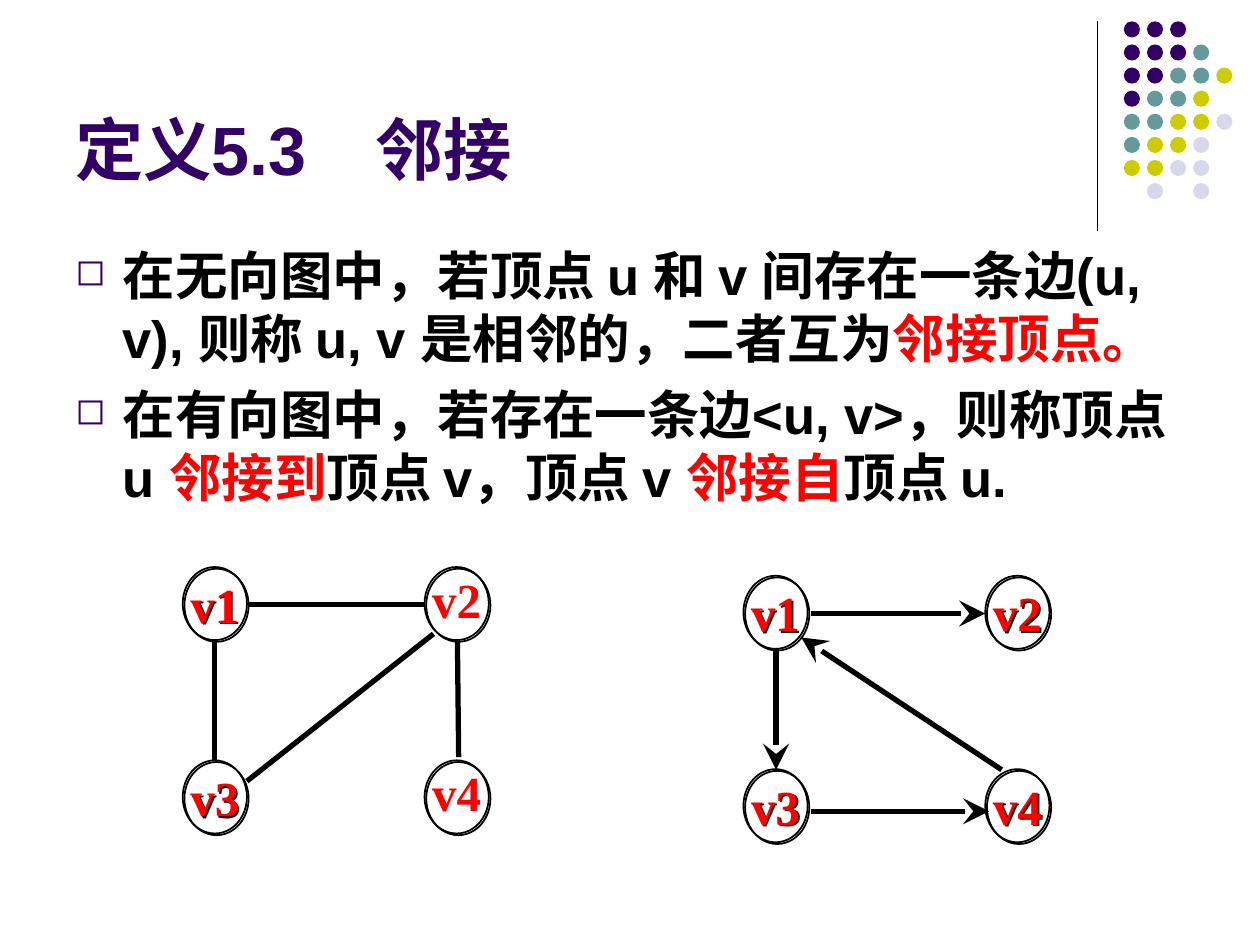
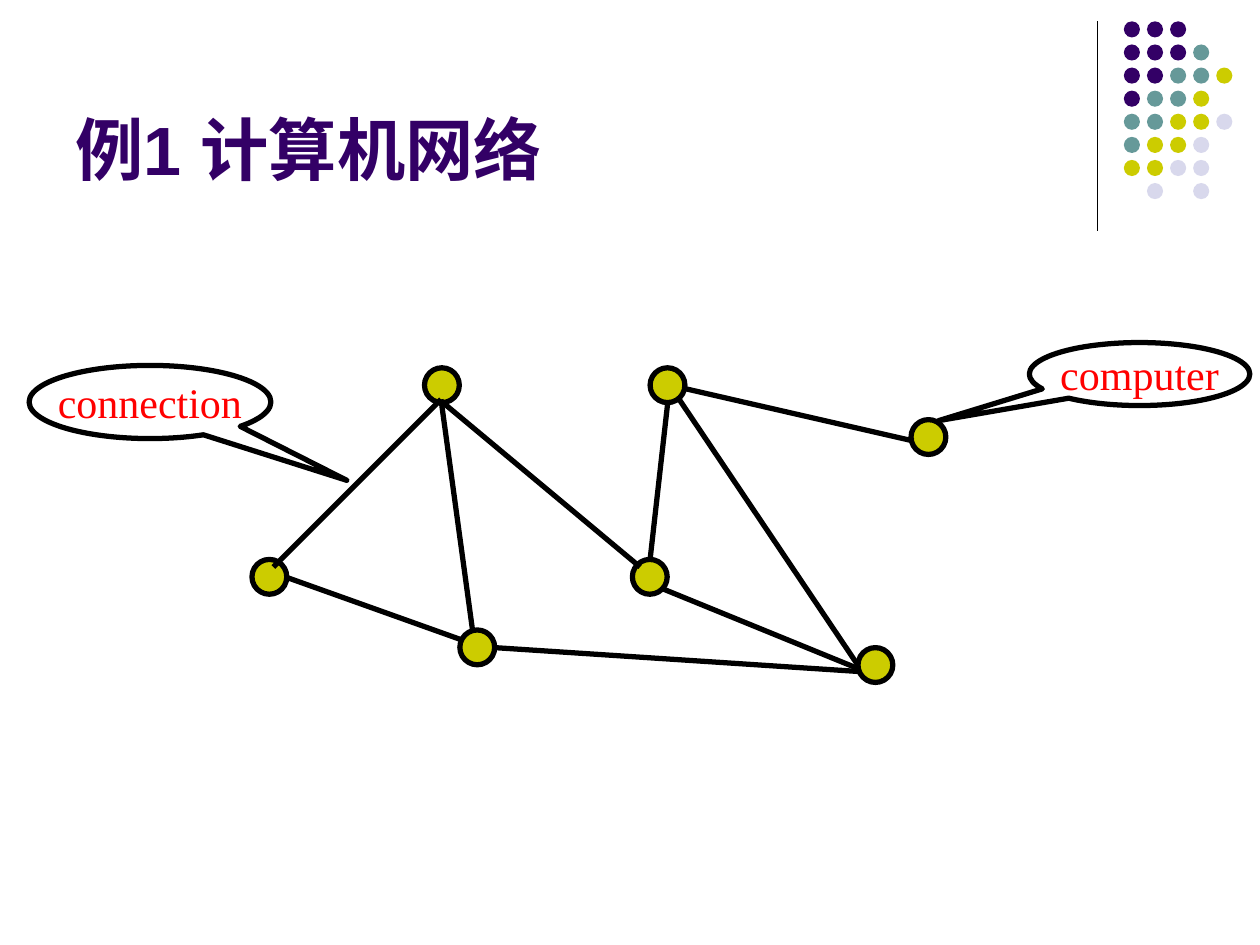
"""Builds two graph theory slides: adjacency and a computer network."""
from lxml.etree import SubElement
from pptx import Presentation
from pptx.dml.color import RGBColor
from pptx.enum.shapes import MSO_CONNECTOR as CONN, MSO_SHAPE as SHAPE
from pptx.enum.text import MSO_ANCHOR as ANCHOR, PP_ALIGN as ALIGN
from pptx.oxml.ns import qn
from pptx.util import Pt

COLORS = {"purple": "330066", "teal": "669999", "lime": "CCCC00",
          "lilac": "D8D8EC", "black": "000000", "red": "FF0000"}
SANS, SERIF = "Arial", "Times New Roman"

DOT_ROWS = ["PPP..", "PPPT.", "PPTTY", "PTTY.", "TTYYL", "TYYL.", "YYLL.", ".L.L."]
DOT_COLORS = {"P": "purple", "T": "teal", "Y": "lime", "L": "lilac"}
DOT_ORIGIN, DOT_PITCH, DOT_SIZE = (642.2, 12.2), 13.2, 9.2

TITLES = ["定义5.3　邻接", "例1 计算机网络"]
DEFINITIONS = [
    [("在无向图中，若顶点 u 和 v 间存在一条边(u, v), 则称 u, v 是相邻的，二者互为", "black"),
     ("邻接顶点。", "red")],
    [("在有向图中，若存在一条边<u, v>，则称顶点 u ", "black"), ("邻接到", "red"),
     ("顶点 v，顶点 v ", "black"), ("邻接自", "red"), ("顶点 u.", "black")],
]

VERTICES = ["v1", "v2", "v3", "v4"]
VERTEX_SIZE, VERTEX_PITCH = (36.7, 41.8), (138.2, 110.5)
GRAPHS = [
    {"origin": (424.8, 329), "directed": True, "flat_labels": [],
     "edges": [(38.9, 21.6, 138.2, 21.6), (18.7, 41.8, 18.7, 110.9),
               (38.9, 134.6, 140.4, 134.6), (147.6, 110.9, 33.1, 35.3)]},
    {"origin": (104.4, 324), "directed": False, "flat_labels": ["v2", "v4"],
     "edges": [(37.4, 21.6, 138.2, 21.6), (18, 42.5, 18, 110.2),
               (143.3, 38.2, 36.7, 122.4), (157, 42.5, 157.7, 108.7)]},
]

COMPUTER_SIZE = 19.9
COMPUTERS_BELOW = [(361.4, 319.7), (520.6, 239.8), (242.6, 210.2), (262.8, 360), (144, 319.7)]
COMPUTERS_ABOVE = [(490.3, 370.1), (371.5, 210.2)]
LINKS = [(252, 228.2, 156.2, 324), (252.7, 229.7, 365.8, 324), (163.4, 329.8, 264.2, 365.8),
         (381.6, 229.7, 371.5, 319.7), (283, 370.1, 491.8, 383.8), (522, 252, 390.2, 221.8),
         (378, 336.2, 494.6, 383.8), (252, 228.2, 270, 360), (383.8, 221.8, 490.3, 380.2)]
CALLOUTS = [("computer", (588.2, 195.8, 126, 36), (-0.912, 0.74)),
            ("connection", (16.6, 208.8, 138.2, 41.8), (0.814, 1.071))]


def rgb(name):
    return RGBColor.from_string(COLORS[name])


def style_run(r, size, font, color, bold=True):
    r.font.size, r.font.name, r.font.bold = Pt(size), font, bold
    r.font.color.rgb = rgb(color)


def add_line(slide, ends, width=3, arrow=False):
    line = slide.shapes.add_connector(CONN.STRAIGHT, *map(Pt, ends))
    line.line.width = Pt(width)
    line.line.color.rgb = rgb("black")
    if arrow:
        SubElement(line.line._get_or_add_ln(), qn("a:tailEnd"), type="stealth", w="lg", len="lg")
    SubElement(line._element.spPr, qn("a:effectLst"))


def add_outline(slide, kind, box, fill=None, width=0.0):
    sp = slide.shapes.add_shape(kind, *map(Pt, box))
    sp.shadow.inherit = False
    if fill:
        sp.fill.solid()
        sp.fill.fore_color.rgb = rgb(fill)
    else:
        sp.fill.background()
    if width:
        sp.line.width = Pt(width)
        sp.line.color.rgb = rgb("black")
    else:
        sp.line.fill.background()
    return sp


def add_text(slide, box, anchor=ANCHOR.TOP):
    tf = slide.shapes.add_textbox(*map(Pt, box)).text_frame
    tf.word_wrap, tf.vertical_anchor = True, anchor
    return tf


def label(tf, text, size, bold):
    tf.text = text
    tf.word_wrap = False
    p = tf.paragraphs[0]
    p.alignment = ALIGN.CENTER
    style_run(p.runs[0], size, SERIF, "red", bold)


def add_base(prs, title):
    slide = prs.slides.add_slide(prs.slide_layouts[6])
    add_line(slide, (627.1, 12.2, 627.1, 131.8), 0.75)
    x, y = DOT_ORIGIN
    for row, marks in enumerate(DOT_ROWS):
        for col, mark in enumerate(marks):
            if mark in DOT_COLORS:
                box = (x + col * DOT_PITCH, y + row * DOT_PITCH, DOT_SIZE, DOT_SIZE)
                add_outline(slide, SHAPE.OVAL, box, DOT_COLORS[mark])
    tf = add_text(slide, (36, 9.4, 594, 102.2), ANCHOR.BOTTOM)
    tf.text = title
    style_run(tf.paragraphs[0].runs[0], 39, SANS, "purple")
    return slide


def add_definitions(slide):
    tf = add_text(slide, (36, 135.4, 648, 347))
    for i, parts in enumerate(DEFINITIONS):
        p = tf.add_paragraph() if i else tf.paragraphs[0]
        p.space_before = Pt(7.5)
        pPr = p._p.get_or_add_pPr()
        pPr.set("marL", str(Pt(27)))
        pPr.set("indent", str(-Pt(27)))
        SubElement(SubElement(pPr, qn("a:buClr")), qn("a:srgbClr"), val=COLORS["purple"])
        SubElement(pPr, qn("a:buSzPct"), val="70000")
        SubElement(pPr, qn("a:buChar"), char="◻")
        for text, color in parts:
            r = p.add_run()
            r.text = text
            style_run(r, 30, SANS, color)


def add_vertex_shadow(sp):
    effects = sp._element.spPr.find(qn("a:effectLst"))
    shadow = SubElement(effects, qn("a:outerShdw"), dist=str(Pt(1.4)), dir="2700000",
                        algn="ctr", rotWithShape="0")
    SubElement(shadow, qn("a:srgbClr"), val=COLORS["black"])


def add_graph(slide, graph):
    x0, y0 = graph["origin"]
    for i, name in enumerate(VERTICES):
        row, col = divmod(i, 2)
        x, y = x0 + col * VERTEX_PITCH[0], y0 + row * VERTEX_PITCH[1]
        sp = add_outline(slide, SHAPE.OVAL, (x, y, *VERTEX_SIZE), width=1)
        add_vertex_shadow(sp)
        tf = sp.text_frame
        if name in graph["flat_labels"]:
            tf = add_text(slide, (x, y + 1.4, VERTEX_SIZE[0], 33.8))
            tf.margin_left = tf.margin_right = tf.margin_top = tf.margin_bottom = 0
        label(tf, name, 28, True)
    for xa, ya, xb, yb in graph["edges"]:
        add_line(slide, (x0 + xa, y0 + ya, x0 + xb, y0 + yb), arrow=graph["directed"])


def add_computers(slide, spots):
    for spot in spots:
        add_outline(slide, SHAPE.OVAL, (*spot, COMPUTER_SIZE, COMPUTER_SIZE), "lime", 3)


def add_network(slide):
    add_computers(slide, COMPUTERS_BELOW)
    for link in LINKS:
        add_line(slide, link)
    add_computers(slide, COMPUTERS_ABOVE)
    for text, box, tip in CALLOUTS:
        sp = add_outline(slide, SHAPE.OVAL_CALLOUT, box, width=3)
        sp.adjustments[0], sp.adjustments[1] = tip
        label(sp.text_frame, text, 24, False)


def main():
    prs = Presentation()
    prs.slide_width, prs.slide_height = Pt(720), Pt(540)
    adjacency, network = [add_base(prs, title) for title in TITLES]
    add_definitions(adjacency)
    for graph in GRAPHS:
        add_graph(adjacency, graph)
    add_network(network)
    prs.save("out.pptx")


if __name__ == "__main__":
    main()
